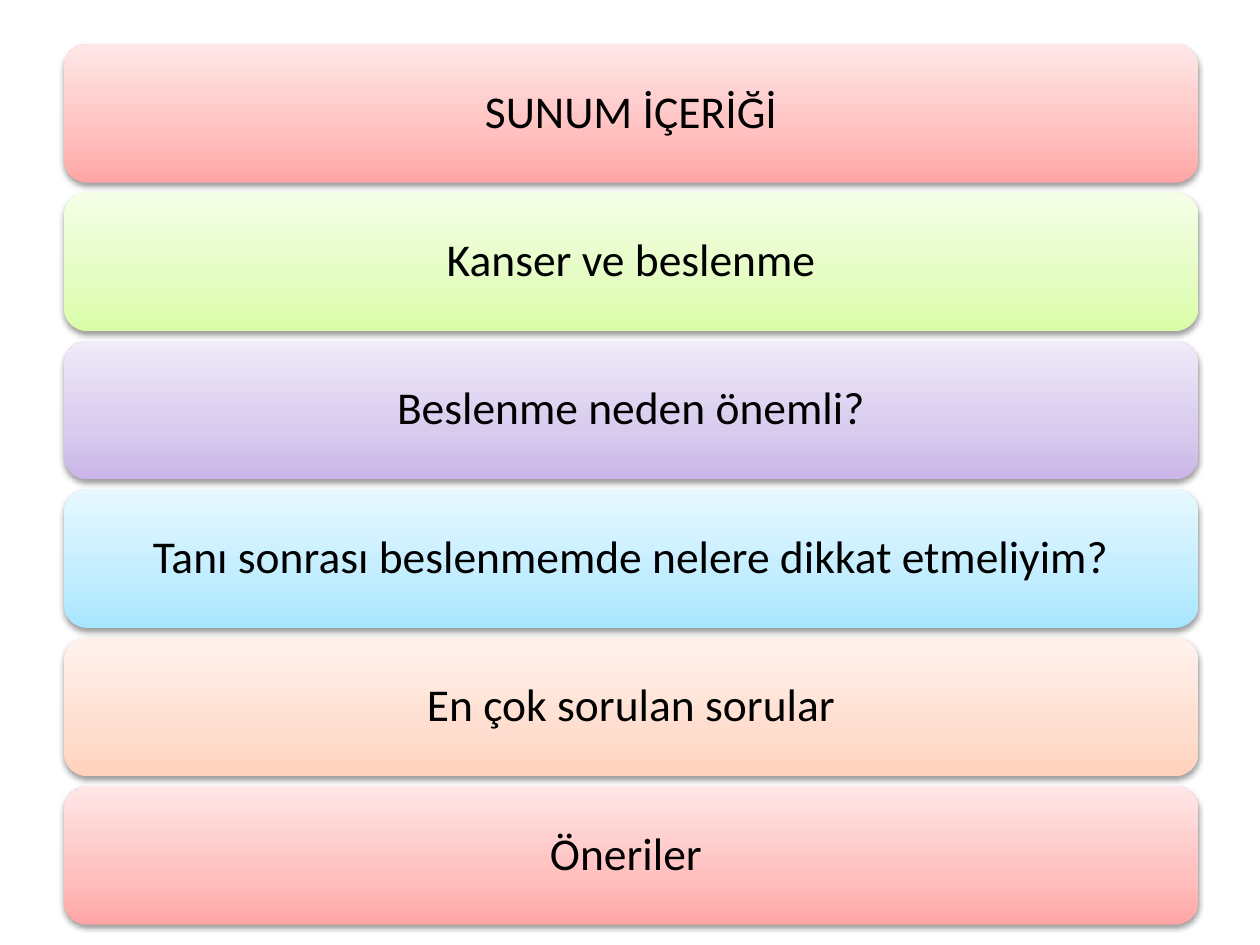
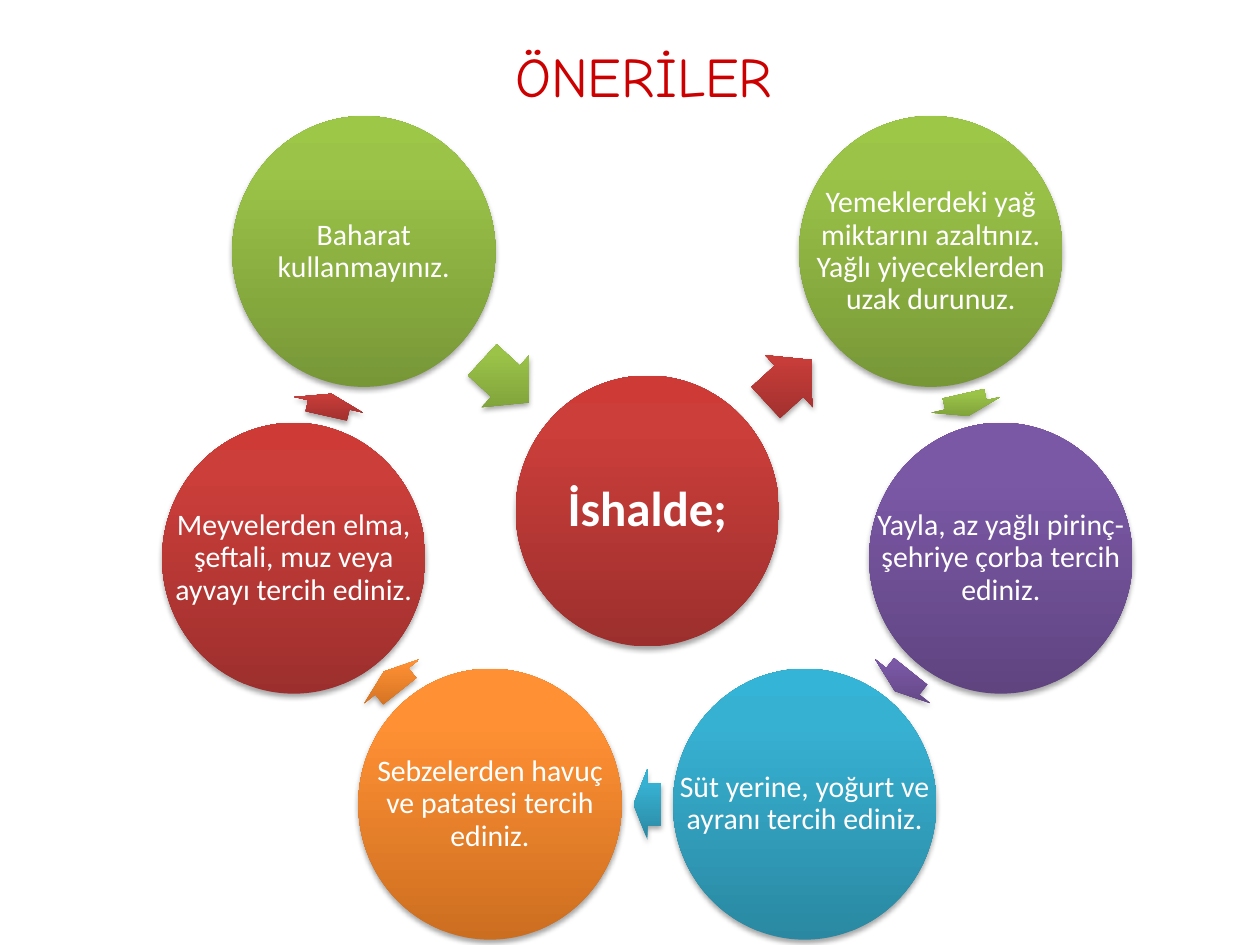
from math import atan2, cos, degrees, radians, sin

from pptx import Presentation
from pptx.dml.color import RGBColor
from pptx.enum.shapes import MSO_SHAPE as Preset
from pptx.enum.text import MSO_ANCHOR as Anchor, PP_ALIGN as Align
from pptx.oxml import parse_xml
from pptx.oxml.ns import nsdecls, qn
from pptx.util import Pt

COLORS = {"text": "000000", "light": "FFFFFF", "title": "CC0000", "shadow": "000000"}
GRADIENTS = {
    "pale red": ((0, "FFA6A5"), (35, "FFC0BF"), (100, "FFE7E7")),
    "pale green": ((0, "DAFDA7"), (35, "E4FCC2"), (100, "F5FFE7")),
    "pale purple": ((0, "C9B5E8"), (35, "D8CBEE"), (100, "F0EAF9")),
    "pale blue": ((0, "A7E6FF"), (35, "C1EDFF"), (100, "E7F8FF")),
    "pale orange": ((0, "FFD2BD"), (35, "FFDED0"), (100, "FFF2ED")),
    "red": ((0, "9C2F2D"), (80, "CB3E3A"), (100, "CE3B37")),
    "green": ((0, "779737"), (80, "9BC348"), (100, "9DC746")),
    "purple": ((0, "5F4480"), (80, "7B58A6"), (100, "7C57A8")),
    "blue": ((0, "2A88A2"), (80, "37B1D2"), (100, "34B4D6")),
    "orange": ((0, "CC6E20"), (80, "FF9034"), (100, "FF9136")),
}
FORMATS = {
    "agenda": {"name": "Calibri", "size": Pt(26), "color": "text"},
    "hub": {"name": "Calibri", "size": Pt(28), "bold": True, "color": "light"},
    "advice": {"name": "Calibri", "size": Pt(17), "color": "light"},
    "title": {"name": "Comic Neue", "size": Pt(32), "color": "title"},
}

AGENDA = [
    ("SUNUM İÇERİĞİ", "pale red"),
    ("Kanser ve beslenme", "pale green"),
    ("Beslenme neden önemli?", "pale purple"),
    ("Tanı sonrası beslenmemde nelere dikkat etmeliyim?", "pale blue"),
    ("En çok sorulan sorular", "pale orange"),
    ("Öneriler ", "pale red"),
]
ADVICE_TITLE = "ÖNERİLER"
HUB = ("İshalde;", "red")
ADVICE = [
    ("Yemeklerdeki yağ miktarını azaltınız. Yağlı yiyeceklerden uzak durunuz.", "green"),
    ("Yayla, az yağlı pirinç-şehriye çorba tercih ediniz.", "purple"),
    ("Süt yerine, yoğurt ve ayranı tercih ediniz.", "blue"),
    ("Sebzelerden havuç ve patatesi tercih ediniz.", "orange"),
    ("Meyvelerden elma, şeftali, muz veya ayvayı tercih ediniz.", "red"),
    ("Baharat kullanmayınız.", "green"),
]
ARROW_LENGTHS = [36, 13, 14.4, 15.8, 14.4, 13, 36]

BAR_LEFT, BAR_TOP, BAR_WIDTH, BAR_HEIGHT, BAR_PITCH = 36.7, 25.2, 648, 79.2, 84.8
HUB_CENTER = (369.9, 292)
RING_CENTER = (369.9, 272.9)
RING_RADIUS = 207.2
CIRCLE_SIZE = (150.5, 154.8)
ARROW_HEIGHT = 40.3


def shadow_xml(alpha, blur, distance, direction):
    return parse_xml(
        f'<a:outerShdw {nsdecls("a")} blurRad="{Pt(blur)}" dist="{Pt(distance)}" '
        f'dir="{direction * 60000}" algn="ctr" rotWithShape="0">'
        f'<a:srgbClr val="{COLORS["shadow"]}"><a:alpha val="{alpha * 1000}"/></a:srgbClr>'
        "</a:outerShdw>"
    )


def add_panel(slide, preset, box, gradient, shadow_alpha=35, shadow_distance=1.8):
    shape = slide.shapes.add_shape(preset, *map(Pt, box))
    properties = shape._element.spPr
    stops = "".join(
        f'<a:gs pos="{position * 1000}"><a:srgbClr val="{color}"/></a:gs>'
        for position, color in GRADIENTS[gradient]
    )
    properties.append(parse_xml(
        f'<a:gradFill {nsdecls("a")} rotWithShape="0"><a:gsLst>{stops}</a:gsLst>'
        '<a:lin ang="16200000" scaled="0"/></a:gradFill>'
    ))
    shape.line.fill.background()
    shape.shadow.inherit = False
    effects = properties.find(qn("a:effectLst"))
    effects.append(shadow_xml(shadow_alpha, 3.1, shadow_distance, 90))
    return shape


def write(shape, text, style, inset, spacing=0.9):
    frame = shape.text_frame
    frame.word_wrap = True
    frame.vertical_anchor = Anchor.MIDDLE
    for side in ("left", "top", "right", "bottom"):
        setattr(frame, f"margin_{side}", Pt(inset))
    paragraph = frame.paragraphs[0]
    paragraph.alignment = Align.CENTER
    paragraph.line_spacing = spacing
    run = paragraph.add_run()
    run.text = text
    for attribute, value in FORMATS[style].items():
        if attribute == "color":
            run.font.color.rgb = RGBColor.from_string(COLORS[value])
        else:
            setattr(run.font, attribute, value)
    return run


def centered(center, size):
    return (center[0] - size[0] / 2, center[1] - size[1] / 2, *size)


def add_circle(slide, center, text, gradient, style, inset):
    box = centered(center, CIRCLE_SIZE)
    add_panel(slide, Preset.OVAL, box, gradient)
    write(slide.shapes.add_textbox(*map(Pt, box)), text, style, inset)


def add_arrow(slide, start, end, length, gradient):
    middle = ((start[0] + end[0]) / 2, (start[1] + end[1]) / 2)
    arrow = add_panel(slide, Preset.RIGHT_ARROW, centered(middle, (length, ARROW_HEIGHT)), gradient)
    arrow.adjustments[0] = 0.6
    arrow.adjustments[1] = 0.5
    arrow.rotation = degrees(atan2(end[1] - start[1], end[0] - start[0])) % 360


def ring_point(position):
    angle = radians(position * 360 / (len(ADVICE) + 1))
    return (RING_CENTER[0] + RING_RADIUS * sin(angle), RING_CENTER[1] - RING_RADIUS * cos(angle))


def build_agenda(slide):
    for row, (text, gradient) in enumerate(AGENDA):
        box = (BAR_LEFT, BAR_TOP + row * BAR_PITCH, BAR_WIDTH, BAR_HEIGHT)
        bar = add_panel(slide, Preset.ROUNDED_RECTANGLE, box, gradient, 38, 1.6)
        write(bar, text, "agenda", 7.9)


def build_advice(slide):
    add_circle(slide, HUB_CENTER, *HUB, "hub", 2.9)
    start, arrow_gradient = HUB_CENTER, HUB[1]
    for position, (text, gradient) in enumerate(ADVICE, 1):
        center = ring_point(position)
        add_arrow(slide, start, center, ARROW_LENGTHS[position - 1], arrow_gradient)
        add_circle(slide, center, text, gradient, "advice", 1.4)
        start, arrow_gradient = center, gradient
    add_arrow(slide, start, HUB_CENTER, ARROW_LENGTHS[-1], arrow_gradient)

    title = slide.shapes.add_textbox(Pt(43.9), Pt(-2.2), Pt(648), Pt(90))
    run = write(title, ADVICE_TITLE, "title", 3.6, 1)
    effects = parse_xml(f'<a:effectLst {nsdecls("a")}/>')
    effects.append(shadow_xml(100, 0, 2, 45))
    run.font._element.find(qn("a:solidFill")).addnext(effects)


def main():
    presentation = Presentation()
    presentation.slide_width, presentation.slide_height = Pt(720), Pt(540)
    for build in (build_agenda, build_advice):
        build(presentation.slides.add_slide(presentation.slide_layouts[6]))
    presentation.save("out.pptx")


if __name__ == "__main__":
    main()
